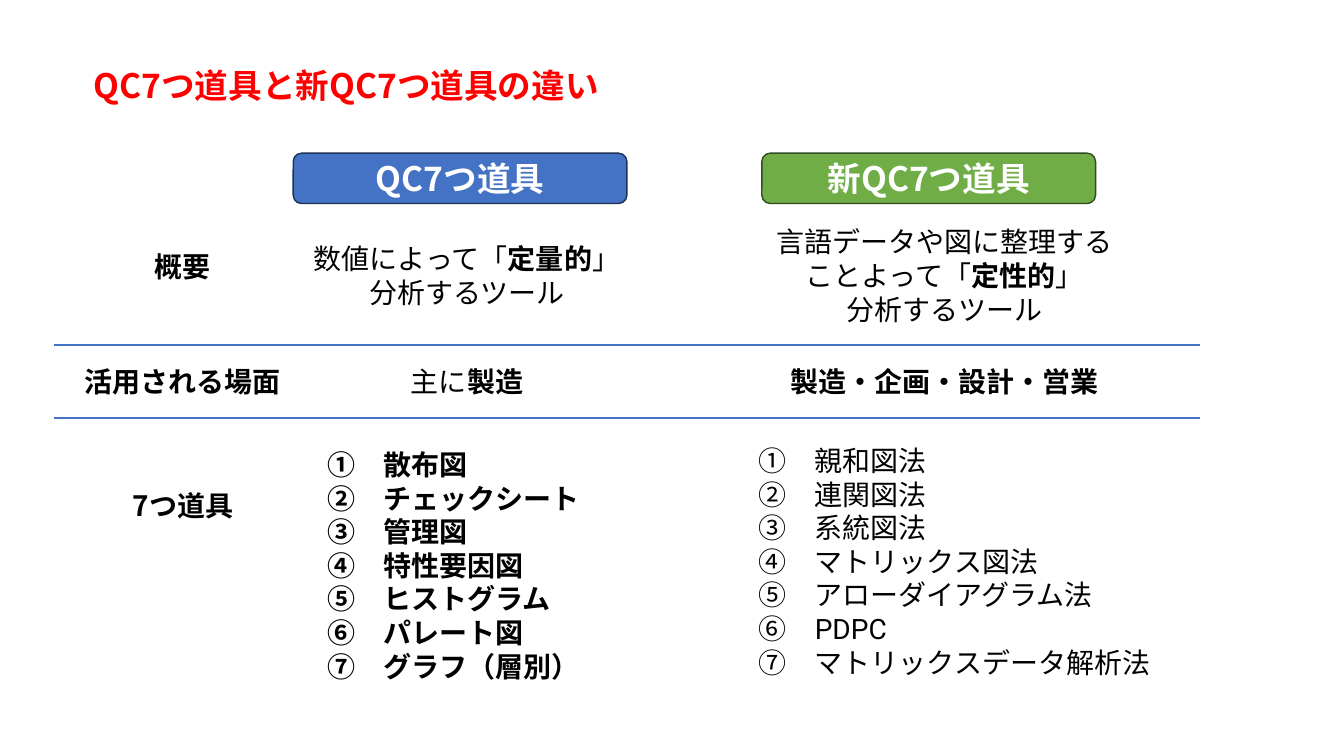
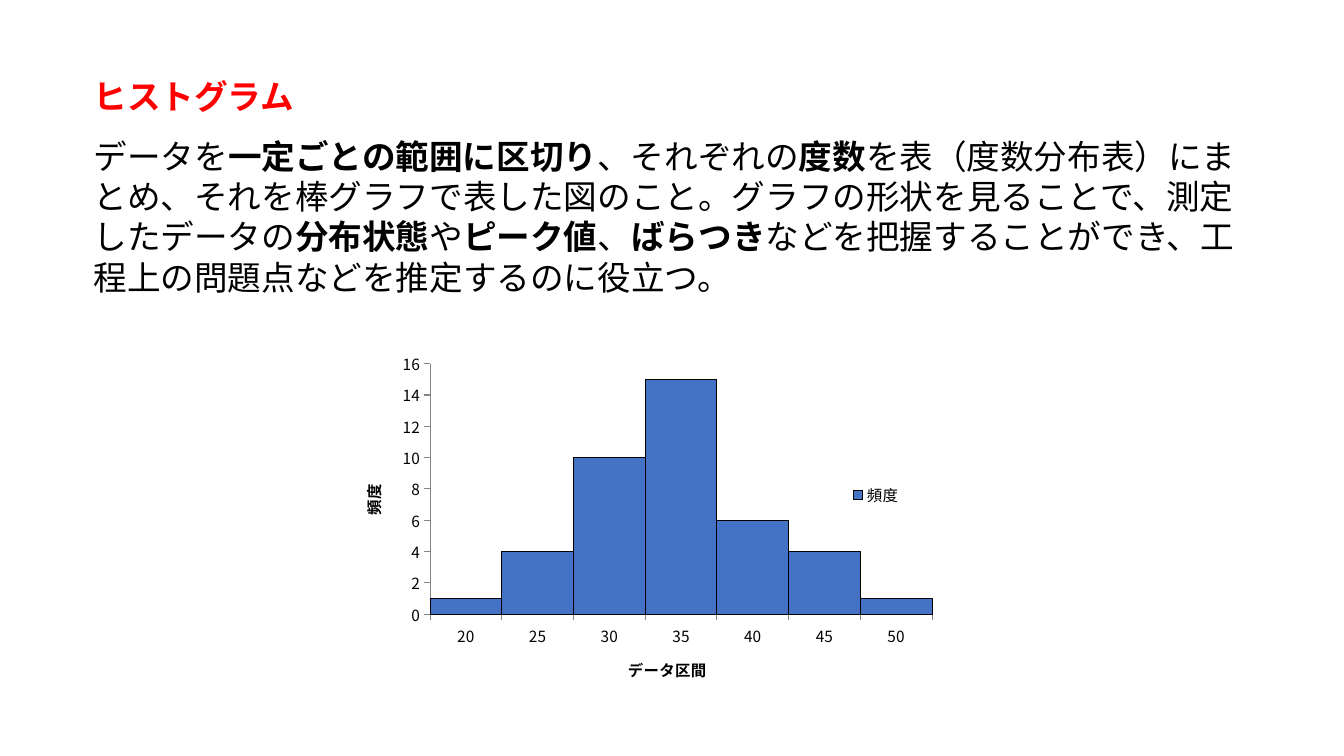
from lxml import etree
from pptx import Presentation
from pptx.chart.data import CategoryChartData
from pptx.dml.color import RGBColor
from pptx.enum.chart import XL_CHART_TYPE, XL_LEGEND_POSITION, XL_TICK_MARK
from pptx.enum.shapes import MSO_CONNECTOR, MSO_SHAPE
from pptx.enum.text import MSO_ANCHOR, PP_ALIGN
from pptx.oxml import parse_xml
from pptx.oxml.ns import nsdecls, qn
from pptx.util import Cm, Pt

LEFT, CENTER = PP_ALIGN.LEFT, PP_ALIGN.CENTER
TOP, MIDDLE = MSO_ANCHOR.TOP, MSO_ANCHOR.MIDDLE
STRAIGHT, ROUNDED = MSO_CONNECTOR.STRAIGHT, MSO_SHAPE.ROUNDED_RECTANGLE
COLUMNS, LEGEND_RIGHT = XL_CHART_TYPE.COLUMN_CLUSTERED, XL_LEGEND_POSITION.RIGHT
TICK_OUT = XL_TICK_MARK.OUTSIDE

# Shared style
COLORS = {
    "title": "FF0000", "text": "000000", "white": "FFFFFF", "axis": "868686",
    "blue": "4472C4", "blue_edge": "1E3256",
    "green": "70AD47", "green_edge": "314C1F",
}
JAPANESE, LATIN = "Noto Sans CJK JP", "Roboto"
TITLE_LEFT, TITLE_WIDTH = 2.11, 29.67

# Content: text between ** marks is bold
COMPARISON_TITLE = "QC7つ道具と新QC7つ道具の違い"
ROW_LABELS = [("概要", 6.17), ("活用される場面", 9.07), ("7つ道具", 12.19)]
RULE_TOPS = [8.69, 10.54]
TOOLSETS = [
    {
        "name": "QC7つ道具", "fill": "blue", "edge": "blue_edge",
        "header_left": 7.39, "cell_left": 6.6,
        "summary": ["数値によって「**定量的**」", "分析するツール"],
        "summary_top": 5.97,
        "usage": "主に**製造**",
        "tools": ["散布図", "チェックシート", "管理図", "特性要因図",
                  "ヒストグラム", "パレート図", "グラフ（層別）"],
        "tools_box": (8, 11.15, 7.8, 6.25), "tools_bold": True,
    },
    {
        "name": "新QC7つ道具", "fill": "green", "edge": "green_edge",
        "header_left": 19.2, "cell_left": 18.64,
        "summary": ["言語データや図に整理する", "ことよって「**定性的**」", "分析するツール"],
        "summary_top": 5.54,
        "usage": "**製造・企画・設計・営業**",
        "tools": ["親和図法", "連関図法", "系統図法", "マトリックス図法",
                  "アローダイアグラム法", "PDPC", "マトリックスデータ解析法"],
        "tools_box": (18.87, 11.05, 10.82, 6.25), "tools_bold": False,
    },
]
NUMBERS = "①②③④⑤⑥⑦"

HISTOGRAM_TITLE = "ヒストグラム"
HISTOGRAM_TEXT = (
    "データを**一定ごとの範囲に区切り**、それぞれの**度数**を表（度数分布表）にまとめ、"
    "それを棒グラフで表した図のこと。グラフの形状を見ることで、測定したデータの"
    "**分布状態**や**ピーク値**、**ばらつき**などを把握することができ、"
    "工程上の問題点などを推定するのに役立つ。"
)
FREQUENCIES = {"20": 1, "25": 4, "30": 10, "35": 15, "40": 6, "45": 4, "50": 1}
CLASS_TITLE, FREQUENCY_TITLE = "データ区間", "頻度"


def rgb(name):
    return RGBColor.from_string(COLORS[name])


def style_font(font, size, color="text", bold=False, name=JAPANESE):
    font.size, font.bold, font.name = Pt(size), bold, name
    font.color.rgb = rgb(color)


def write(frame, lines, size=20, color="text", bold=False, name=JAPANESE,
          align=LEFT, anchor=TOP, space_before=0):
    """Append lines to a text frame, switching to bold between ** marks."""
    frame.word_wrap = True
    frame.vertical_anchor = anchor
    for line in lines:
        paragraph = frame.paragraphs[0]
        if paragraph.runs:
            paragraph = frame.add_paragraph()
            paragraph.space_before = Pt(space_before)
        paragraph.alignment = align
        for index, piece in enumerate(line.split("**")):
            if piece:
                run = paragraph.add_run()
                run.text = piece
                style_font(run.font, size, color, bold or index % 2 == 1, name)
                east_asian = etree.SubElement(run.font._element, qn("a:ea"))
                east_asian.set("typeface", JAPANESE)


def add_text(slide, box, lines, **text_format):
    frame = slide.shapes.add_textbox(*map(Cm, box)).text_frame
    write(frame, lines, **text_format)
    return frame


def add_title(slide, title, top, height):
    box = (TITLE_LEFT, top, TITLE_WIDTH, height)
    return add_text(slide, box, [title], size=24, color="title", bold=True)


def add_header(slide, toolset):
    header = slide.shapes.add_shape(
        ROUNDED, Cm(toolset["header_left"]), Cm(3.86), Cm(8.41), Cm(1.27))
    header.shadow.inherit = False
    header.fill.solid()
    header.fill.fore_color.rgb = rgb(toolset["fill"])
    header.line.color.rgb = rgb(toolset["edge"])
    header.line.width = Pt(1)
    write(header.text_frame, [toolset["name"]], size=24, color="white",
          bold=True, align=CENTER, anchor=MIDDLE)


def add_rule(slide, top):
    rule = slide.shapes.add_connector(STRAIGHT, Cm(1.37), Cm(top), Cm(30.25), Cm(top))
    rule.line.color.rgb = rgb("blue")
    rule.line.width = Pt(1.5)
    etree.SubElement(rule._element.spPr, qn("a:effectLst"))


def manual_layout(x, y, width, height, inner=False):
    target = '<c:layoutTarget val="inner"/>' if inner else ""
    return parse_xml(
        f'<c:layout {nsdecls("c")}><c:manualLayout>{target}'
        '<c:xMode val="edge"/><c:yMode val="edge"/>'
        f'<c:x val="{x}"/><c:y val="{y}"/><c:w val="{width}"/><c:h val="{height}"/>'
        '</c:manualLayout></c:layout>')


def set_layout(element, layout, before):
    """Put a manual layout in front of the first child with the given tag."""
    for old in element.findall(qn("c:layout")):
        element.remove(old)
    element.find(qn(before)).addprevious(layout)


def style_axis(axis, title):
    axis.has_major_gridlines = False
    axis.major_tick_mark = TICK_OUT
    axis.format.line.color.rgb = rgb("axis")
    style_font(axis.tick_labels.font, 11)
    axis.has_title = True
    write(axis.axis_title.text_frame, [title], size=11, bold=True, align=CENTER)


def add_histogram(slide):
    data = CategoryChartData()
    data.categories = list(FREQUENCIES)
    data.add_series(FREQUENCY_TITLE, list(FREQUENCIES.values()))
    chart = slide.shapes.add_chart(
        COLUMNS, Cm(8.46), Cm(8.05), Cm(16.41), Cm(9.22), data).chart
    style_font(chart.font, 11)
    chart.has_title = False
    style_axis(chart.category_axis, CLASS_TITLE)
    style_axis(chart.value_axis, FREQUENCY_TITLE)
    chart.value_axis.minimum_scale = 0
    chart.value_axis.maximum_scale = 16
    chart.value_axis.major_unit = 2

    # Touching bars with a thin outline
    plot = chart.plots[0]
    plot.gap_width = 0
    plot.vary_by_categories = False
    bars = plot.series[0].format
    bars.fill.solid()
    bars.fill.fore_color.rgb = rgb("blue")
    bars.line.color.rgb = rgb("text")
    bars.line.width = Pt(0.75)

    # The legend sits inside the plot, above the low bars
    chart.has_legend = True
    chart.legend.position = LEGEND_RIGHT
    chart.legend.include_in_layout = False
    style_font(chart.legend.font, 11)
    set_layout(chart.legend._element, manual_layout(0.77, 0.44, 0.12, 0.08), "c:overlay")
    plot_area = chart._chartSpace.chart.plotArea
    set_layout(plot_area, manual_layout(0.145, 0.121, 0.771, 0.685, inner=True), "c:barChart")


def build_comparison(slide):
    add_title(slide, COMPARISON_TITLE, 1.5, 1.27)
    for label, top in ROW_LABELS:
        add_text(slide, (1.83, top, 5.56, 1.11), [label], bold=True, align=CENTER)
    for top in RULE_TOPS:
        add_rule(slide, top)
    for toolset in TOOLSETS:
        add_header(slide, toolset)
        left, summary = toolset["cell_left"], toolset["summary"]
        summary_box = (left, toolset["summary_top"], 10.34, 0.26 + 0.85 * len(summary))
        add_text(slide, summary_box, summary, align=CENTER)
        add_text(slide, (left, 9.07, 10.34, 1.11), [toolset["usage"]], align=CENTER)
        tools = [f"{number}　{tool}" for number, tool in zip(NUMBERS, toolset["tools"])]
        add_text(slide, toolset["tools_box"], tools, name=LATIN, bold=toolset["tools_bold"])


def build_histogram(slide):
    frame = add_title(slide, HISTOGRAM_TITLE, 1.78, 5.89)
    write(frame, [HISTOGRAM_TEXT], size=24, space_before=14)
    add_histogram(slide)


def main():
    deck = Presentation()
    deck.slide_width, deck.slide_height = Cm(33.87), Cm(19.05)
    blank = deck.slide_layouts[6]
    for build in (build_comparison, build_histogram):
        build(deck.slides.add_slide(blank))
    deck.save("out.pptx")


if __name__ == "__main__":
    main()
